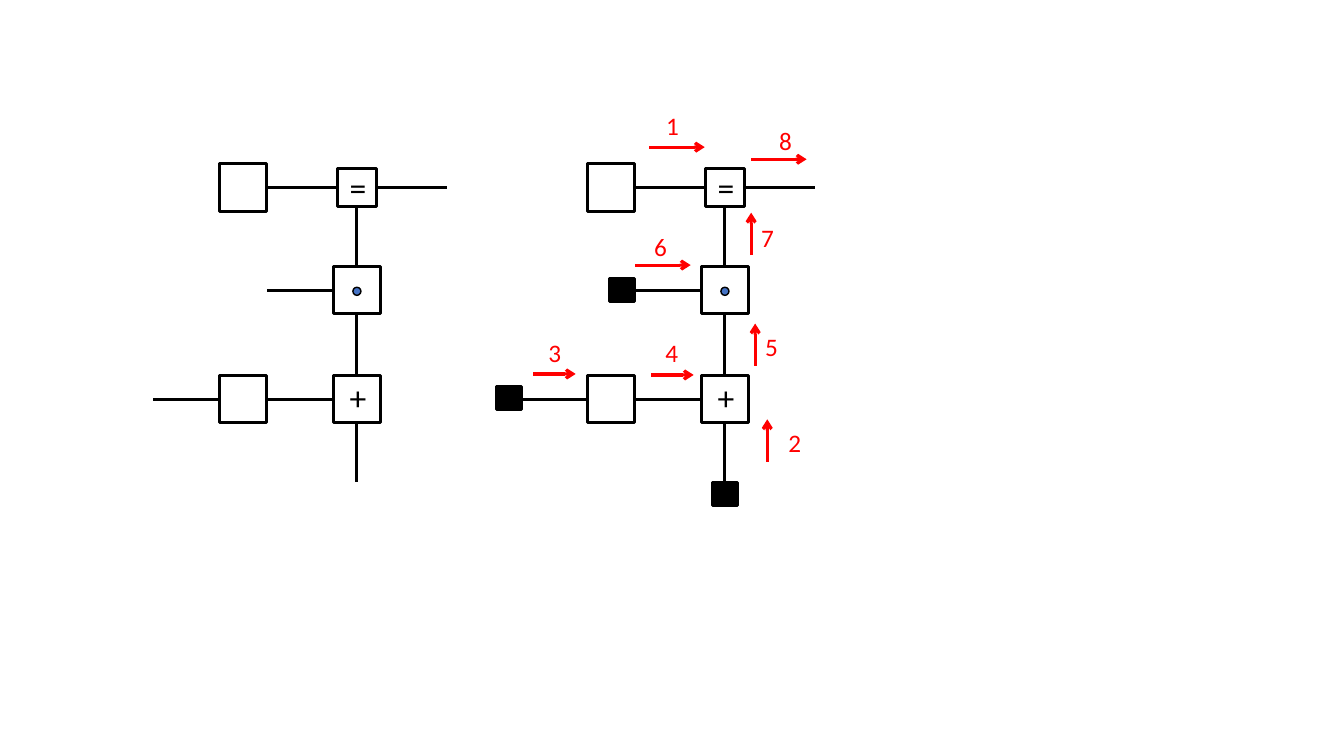
from pptx import Presentation
from pptx import util as u
from pptx.dml.color import RGBColor
from pptx.enum import shapes, text
from pptx.oxml.ns import qn
from lxml import etree

PX = 9144  # EMU in one px, 100 px to the inch
INK = {"black": "000000", "white": "FFFFFF", "red": "FF0000", "blue": "4472C4"}
FRAME = {"word_wrap": True, "auto_size": text.MSO_AUTO_SIZE.SHAPE_TO_FIT_TEXT,
         "vertical_anchor": text.MSO_ANCHOR.TOP}


def assign(target, values):
    for name, value in values.items():
        setattr(target, name, value)


class Board:
    font = "Calibri"
    width = 2.25

    def __init__(self, deck):
        self.shapes = deck.slides.add_slide(deck.slide_layouts[6]).shapes

    def tint(self, color, ink):
        color.rgb = RGBColor.from_string(INK[ink])

    def node(self, x, y, w, h, fill="white", kind="RECTANGLE", width=width):
        """Draw a black-edged shape centred on x, y."""
        left, top = x - w / 2, y - h / 2
        box = self.shapes.add_shape(getattr(shapes.MSO_SHAPE, kind),
                                    *(round(v * PX) for v in (left, top, w, h)))
        box.shadow.inherit = False
        box.fill.solid()
        self.tint(box.fill.fore_color, fill)
        self.tint(box.line.color, "black")
        box.line.width = u.Pt(width)

    def wire(self, x1, y1, x2, y2, ink="black"):
        line = self.shapes.add_connector(shapes.MSO_CONNECTOR.STRAIGHT,
                                         *(v * PX for v in (x1, y1, x2, y2)))
        self.tint(line.line.color, ink)
        line.line.width = u.Pt(self.width)
        etree.SubElement(line._element.spPr, qn("a:effectLst"))
        return line

    def arrow(self, *ends):
        line = self.wire(*ends, ink="red")
        etree.SubElement(line.line._get_or_add_ln(), qn("a:tailEnd"), type="arrow")

    def label(self, words, x, y, w, h, size, ink):
        box = self.shapes.add_textbox(*(v * PX for v in (x, y, w, h)))
        assign(box.text_frame, FRAME)
        par = box.text_frame.paragraphs[0]
        par.text = words
        assign(par.font, {"name": self.font, "size": u.Pt(size)})
        self.tint(par.font.color, ink)


SIDE = 47               # large node
ROWS = 186, 288, 396    # equals, dot and plus rows
STEP = 365              # from the left graph to the right one

# number, label left, top and width, then the arrow's ends
MOVES = [
    ("1", 651, 105, 33, (644, 146, 699, 146)),
    ("2", 772, 419, 33, (761, 458, 761, 416)),
    ("3", 534, 330, 32, (529, 371, 571, 371)),
    ("4", 650, 330, 33, (646, 372, 688, 372)),
    ("5", 749, 324, 44, (749, 363, 749, 321)),
    ("6", 639, 225, 44, (630, 263, 685, 263)),
    ("7", 745, 216, 44, (745, 253, 745, 211)),
    ("8", 763, 119, 44, (745, 158, 800, 158)),
]


def graph(board, dx):
    """Draw one factor graph, moved right by dx."""
    same, dot, plus = ROWS
    left, mid = 241 + dx, 354 + dx
    for x1, x2, y in [(265, 334, same), (374, 443, same), (265, 330, dot),
                      (265, 330, plus), (152, 218, plus)]:
        board.wire(x1 + dx, y, x2 + dx, y)
    for y1, y2 in [(205, 265), (312, 372), (419, 478)]:
        board.wire(mid, y1, mid, y2)
    for x, y in [(left, same), (mid, dot), (left, plus), (mid, plus)]:
        board.node(x, y, SIDE, SIDE)
    board.node(mid, same, 39, 38)
    board.node(mid, dot + 1, 8, 8, "blue", "OVAL", 1)
    for sign, top in [("=", 161), ("+", 369)]:
        board.label(sign, 337 + dx, top, 47, 50, 24, "black")


def main():
    deck = Presentation()
    assign(deck, {"slide_width": 1333 * PX, "slide_height": 750 * PX})
    board = Board(deck)
    for dx in (0, STEP):
        graph(board, dx)
    for x, y in [(617, 288), (505, 395), (719, 490)]:
        board.node(x, y, 25, 23, "black")
    for word, x, y, w, ends in MOVES:
        board.arrow(*ends)
        board.label(word, x, y, w, 40, 18, "red")
    deck.save("out.pptx")


if __name__ == "__main__":
    main()
